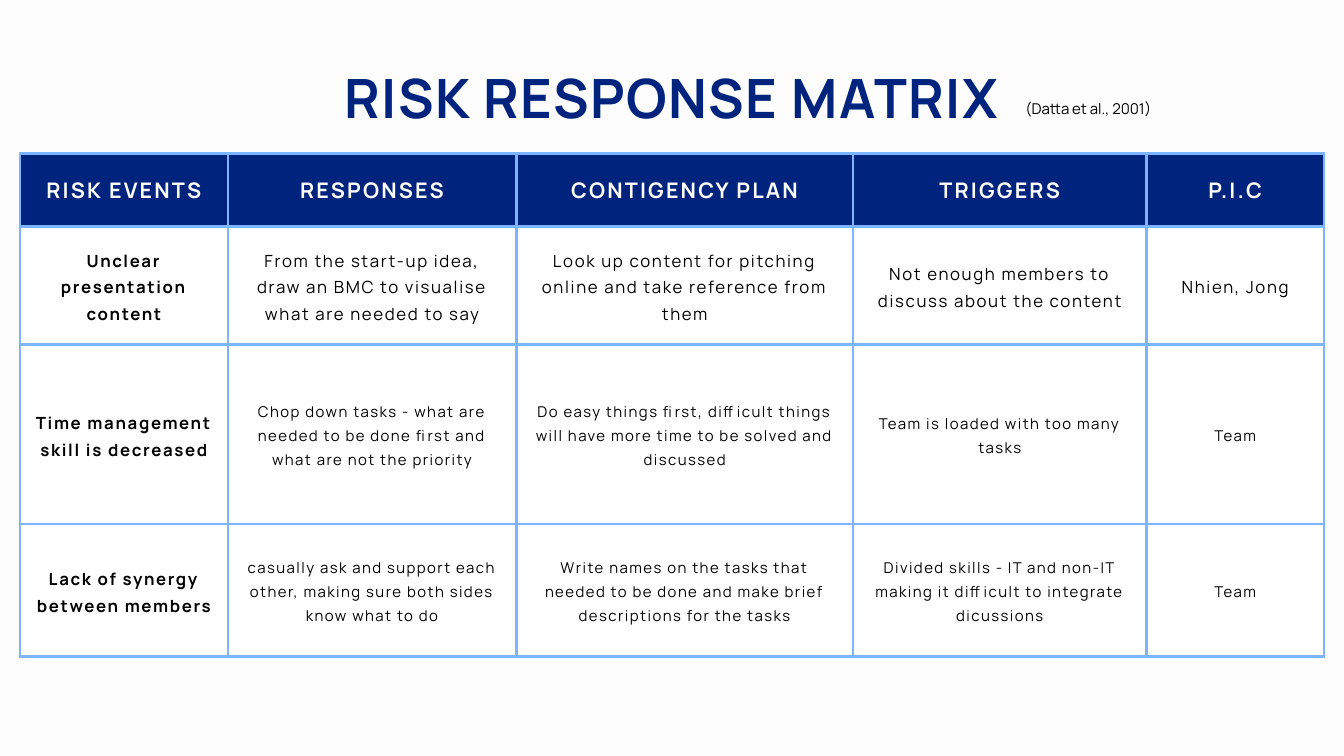
from dataclasses import dataclass

from lxml.etree import SubElement
from pptx import Presentation
from pptx.dml.color import RGBColor
from pptx.enum.text import MSO_ANCHOR as Anchor, MSO_AUTO_SIZE as AutoSize, PP_ALIGN as Align
from pptx.oxml.ns import qn
from pptx.util import Cm, Pt

NAVY = RGBColor(0x00, 0x24, 0x7D)
SKY = RGBColor(0x7C, 0xB4, 0xFF)
BLACK = RGBColor(0x00, 0x00, 0x00)
WHITE = RGBColor(0xFF, 0xFF, 0xFF)
PAPER = RGBColor(0xFD, 0xFD, 0xFD)

FONT = "Manrope"
BORDER_WIDTH = Pt(3)
CELL_INSET = Cm(0.53)


@dataclass(frozen=True)
class TextStyle:
    size: float
    line_height: float
    color: RGBColor = BLACK
    bold: bool = False
    tracking: float = 0


TITLE = TextStyle(58, 75.4, NAVY, True, 1.74)
CITATION = TextStyle(16, 22.4)
HEADER = TextStyle(23, 32.2, WHITE, True, 2.3)
EVENT = TextStyle(18, 28.8, bold=True, tracking=1.79)
LARGE = TextStyle(18, 28.8, tracking=1.79)
SMALL = TextStyle(16, 25.6, tracking=1.6)


@dataclass(frozen=True)
class MatrixRow:
    height: float
    first_style: TextStyle
    style: TextStyle
    fill: RGBColor
    texts: tuple[str, ...]


COLUMN_WIDTHS = (7.85, 10.91, 12.72, 11.1, 6.7)
ROWS = (
    MatrixRow(2.77, HEADER, HEADER, NAVY, (
        "RISK EVENTS", "RESPONSES", "CONTIGENCY PLAN", "TRIGGERS", "P.I.C")),
    MatrixRow(4.45, EVENT, LARGE, WHITE, (
        "Unclear presentation content",
        "From the start-up idea, draw an BMC to visualise what are needed to say",
        "Look up content for pitching online and take reference from them",
        "Not enough members to discuss about the content",
        "Nhien, Jong")),
    MatrixRow(6.79, EVENT, SMALL, WHITE, (
        "Time management skill is decreased",
        "Chop down tasks - what are needed to be done first and what are not the priority",
        "Do easy things first, difficult things will have more time to be solved and discussed",
        "Team is loaded with too many tasks",
        "Team")),
    MatrixRow(5, EVENT, SMALL, WHITE, (
        "Lack of synergy between members",
        "casually ask and support each other, making sure both sides know what to do",
        "Write names on the tasks that needed to be done and make brief descriptions for the tasks",
        "Divided skills - IT and non-IT making it difficult to integrate dicussions",
        "Team")),
)


def set_attributes(target, values: dict) -> None:
    for name, value in values.items():
        setattr(target, name, value)


def write_text(text_frame, text: str, style: TextStyle) -> None:
    paragraph = text_frame.paragraphs[0]
    set_attributes(paragraph, {
        "alignment": Align.CENTER,
        "line_spacing": Pt(style.line_height),
        "space_before": Pt(0),
    })
    run = paragraph.add_run()
    run.text = text
    set_attributes(run.font, {"name": FONT, "size": Pt(style.size), "bold": style.bold})
    run.font.color.rgb = style.color
    run._r.get_or_add_rPr().set("spc", str(round(style.tracking * 100)))


def format_box(shape, left: float, top: float, width: float, height: float) -> None:
    set_attributes(shape, {
        "left": Cm(left), "top": Cm(top), "width": Cm(width), "height": Cm(height),
    })
    set_attributes(shape.text_frame, {
        "margin_left": 0, "margin_right": 0, "margin_top": 0, "margin_bottom": 0,
        "word_wrap": True, "auto_size": AutoSize.NONE, "vertical_anchor": Anchor.TOP,
    })


def add_borders(cell) -> None:
    properties = cell._tc.get_or_add_tcPr()
    for side in ("a:lnL", "a:lnR", "a:lnT", "a:lnB"):
        line = SubElement(properties, qn(side), w=str(BORDER_WIDTH))
        fill = SubElement(line, qn("a:solidFill"))
        SubElement(fill, qn("a:srgbClr"), val=str(SKY))


def format_cell(cell, text: str, style: TextStyle, fill: RGBColor) -> None:
    set_attributes(cell, {
        "margin_left": CELL_INSET, "margin_right": CELL_INSET,
        "margin_top": CELL_INSET, "margin_bottom": CELL_INSET,
        "vertical_anchor": Anchor.MIDDLE,
    })
    add_borders(cell)
    cell.fill.solid()
    cell.fill.fore_color.rgb = fill
    write_text(cell.text_frame, text, style)


def add_matrix(slide, left: float, top: float) -> None:
    width = sum(COLUMN_WIDTHS)
    height = sum(row.height for row in ROWS)
    table = slide.shapes.add_table(
        len(ROWS), len(COLUMN_WIDTHS), Cm(left), Cm(top), Cm(width), Cm(height)).table
    set_attributes(table, {"first_row": False, "horz_banding": False})
    for column, column_width in zip(table.columns, COLUMN_WIDTHS):
        column.width = Cm(column_width)
    for table_row, row in zip(table.rows, ROWS):
        table_row.height = Cm(row.height)
        for index, (cell, text) in enumerate(zip(table_row.cells, row.texts)):
            style = row.style if index else row.first_style
            format_cell(cell, text, style, row.fill)


def main() -> None:
    presentation = Presentation()
    set_attributes(presentation, {"slide_width": Cm(50.8), "slide_height": Cm(28.575)})
    slide = presentation.slides.add_slide(presentation.slide_layouts[5])
    slide.background.fill.solid()
    slide.background.fill.fore_color.rgb = PAPER

    # Title
    title = slide.shapes.title
    format_box(title, 2.84, 2.24, 45.08, 2.77)
    write_text(title.text_frame, "RISK RESPONSE MATRIX", TITLE)

    # Citation beside the title
    citation = slide.shapes.add_textbox(0, 0, 0, 0)
    format_box(citation, 38.61, 3.64, 5.05, 0.79)
    write_text(citation.text_frame, "(Datta et al., 2001)", CITATION)

    # Risk table
    add_matrix(slide, 0.76, 5.8)

    presentation.save("out.pptx")


if __name__ == "__main__":
    main()
